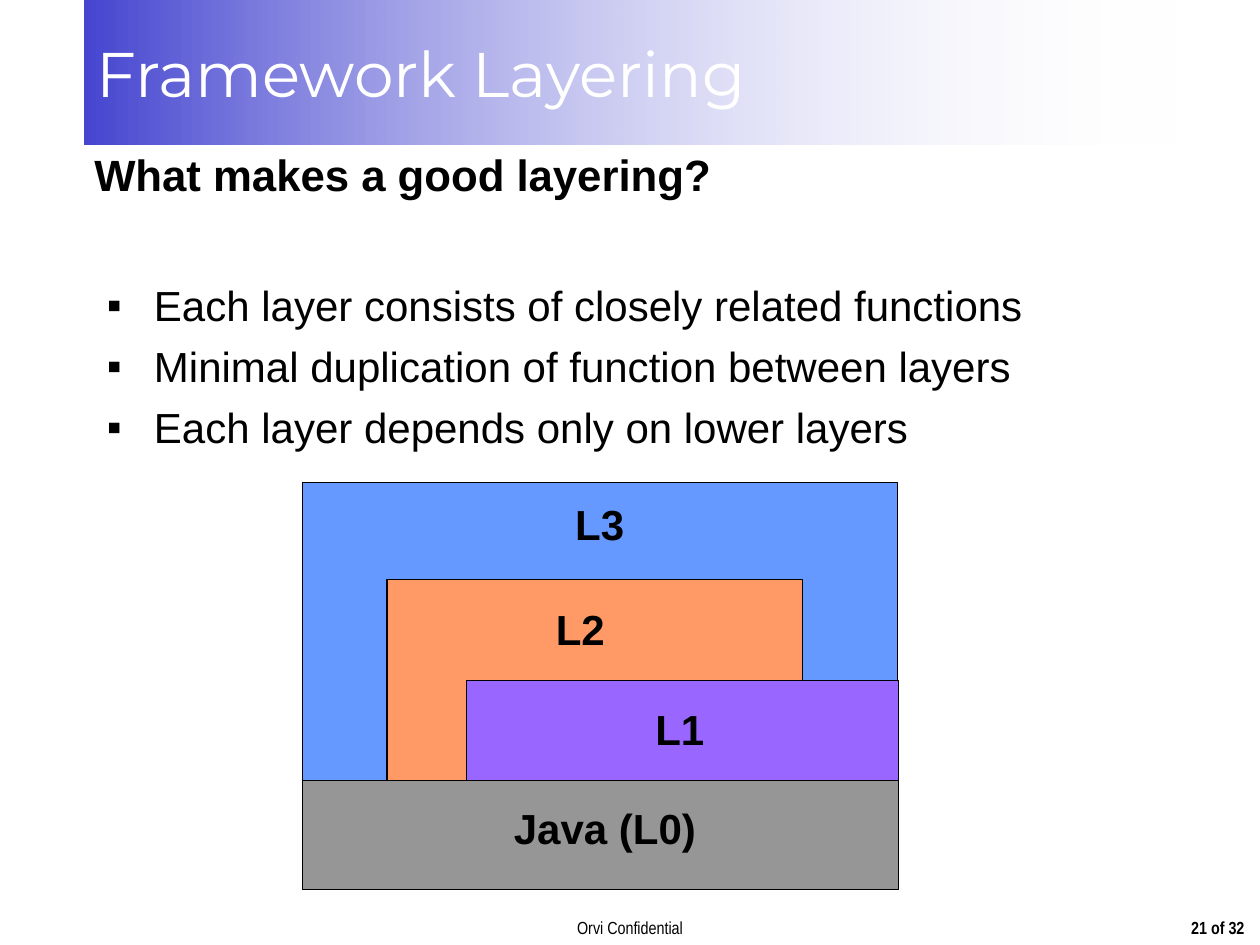
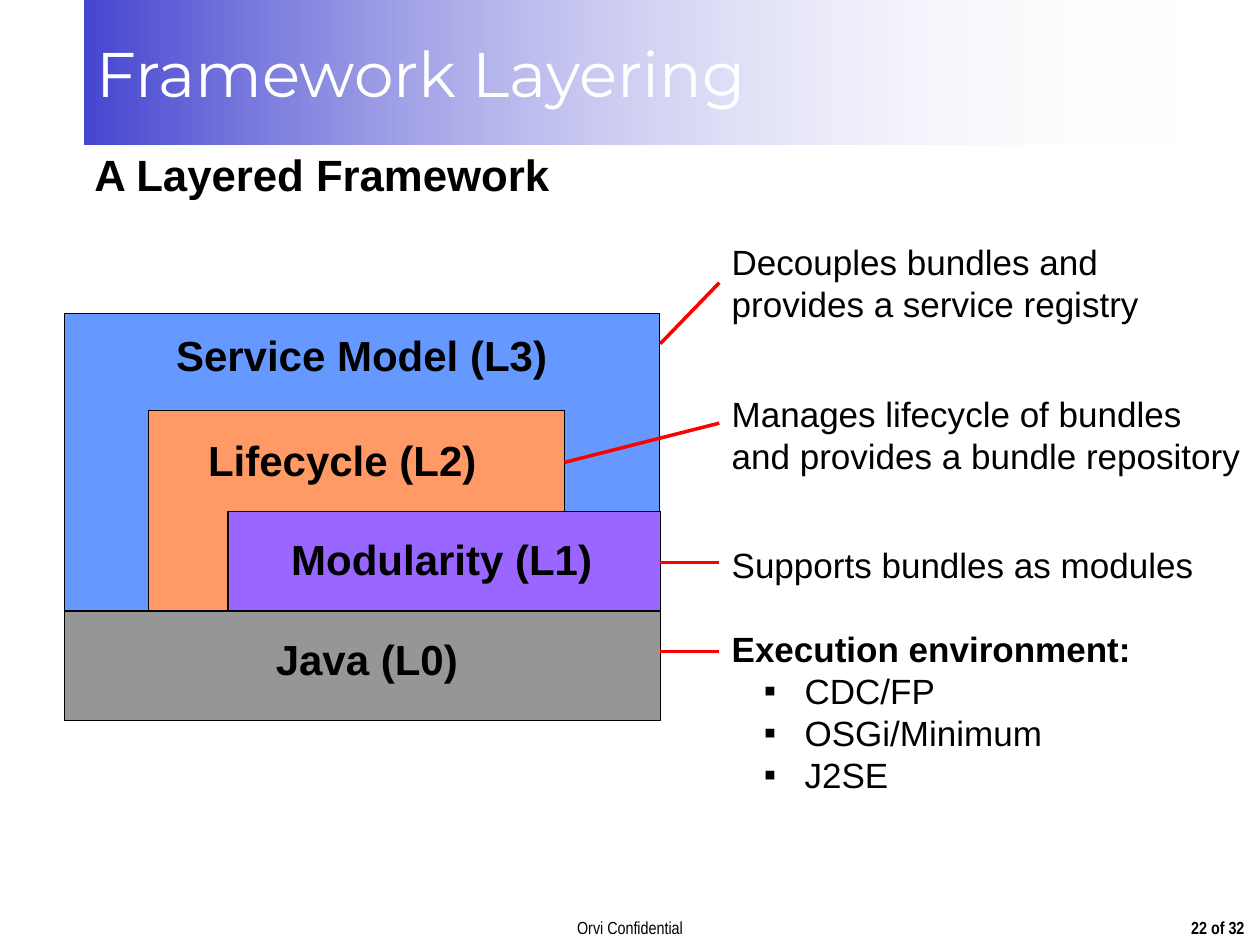
from dataclasses import dataclass

from lxml import etree
from pptx import Presentation
from pptx.dml.color import RGBColor
from pptx.enum.shapes import MSO_CONNECTOR, MSO_SHAPE
from pptx.enum.text import MSO_ANCHOR, MSO_AUTO_SIZE, PP_ALIGN
from pptx.oxml.ns import qn
from pptx.util import Cm, Pt

RECTANGLE = MSO_SHAPE.RECTANGLE
STRAIGHT = MSO_CONNECTOR.STRAIGHT
TOP, MIDDLE = MSO_ANCHOR.TOP, MSO_ANCHOR.MIDDLE
LEFT, CENTER = PP_ALIGN.LEFT, PP_ALIGN.CENTER
FIXED, GROW = MSO_AUTO_SIZE.NONE, MSO_AUTO_SIZE.SHAPE_TO_FIT_TEXT
LEFT_SIDE, RIGHT_SIDE = 1, 3


@dataclass(frozen=True)
class Theme:
    ink: RGBColor = RGBColor(0, 0, 0)
    white: RGBColor = RGBColor(255, 255, 255)
    band: RGBColor = RGBColor.from_string("3333CC")
    pointer: RGBColor = RGBColor.from_string("FF0000")
    l3: RGBColor = RGBColor.from_string("6699FF")
    l2: RGBColor = RGBColor.from_string("FF9966")
    l1: RGBColor = RGBColor.from_string("9966FF")
    l0: RGBColor = RGBColor.from_string("969696")
    font: str = "Arial"
    band_font: str = "Montserrat"
    footer_font: str = "Arial Narrow"
    band_size: int = 36
    title_size: int = 25
    body_size: int = 24
    callout_size: int = 20
    footer_size: int = 10


theme = Theme()


def write(frame, text, size, font=theme.font, color=theme.ink, bold=False,
          align=LEFT, anchor=TOP, wrap=True, fit=GROW):
    """Fill a text frame, one paragraph per line of text."""
    frame.word_wrap = wrap
    frame.auto_size = fit
    frame.vertical_anchor = anchor
    frame.text = text
    for paragraph in frame.paragraphs:
        paragraph.alignment = align
        paragraph.space_before = Pt(0)
        style = paragraph.runs[0].font
        style.name, style.size, style.bold = font, Pt(size), bold
        style.color.rgb = color


def add_bullet(paragraph, margin, hang):
    properties = paragraph._p.get_or_add_pPr()
    properties.set("marL", str(Cm(margin)))
    properties.set("indent", str(-Cm(hang)))
    etree.SubElement(properties, qn("a:buFont"), typeface=theme.font)
    etree.SubElement(properties, qn("a:buChar"), char="▪")


# Layer box and label box, in cm from the top left of the diagram
layers = [
    (theme.l3, (0, 0, 12, 8.2), (1.19, 0.2, 9.6, 1.27)),
    (theme.l2, (1.7, 1.96, 8.38, 4.09), (1.6, 2.31, 8, 1.27)),
    (theme.l1, (3.3, 3.99, 8.71, 2.06), (4.01, 4.32, 7.19, 1.27)),
    (theme.l0, (0, 6, 12.01, 2.21), (3.81, 6.32, 4.57, 1.27)),
]

# Title, layout number, page, diagram corner and layer names
pages = [
    ("What makes a good layering?", 1, "21 of 32", (6.1, 9.73),
     ["L3", "L2", "L1", "Java (L0)"]),
    ("A Layered Framework", 5, "22 of 32", (1.3, 6.32),
     ["Service Model (L3)", "Lifecycle (L2)", "Modularity (L1)", "Java (L0)"]),
]

prs = Presentation()
prs.slide_width, prs.slide_height = Cm(25.4), Cm(19.05)

# What both slides share: band, title, footers and layer diagram
for title, layout, page, (diagram_x, diagram_y), names in pages:
    slide = prs.slides.add_slide(prs.slide_layouts[layout])
    shapes = slide.shapes

    band = shapes.add_shape(RECTANGLE, Cm(1.7), Cm(0), Cm(22.2), Cm(2.92))
    band.shadow.inherit = False
    band.line.fill.background()
    band.fill.gradient()
    band.fill.gradient_angle = 180
    stops = band.fill.gradient_stops
    stops[0].color.rgb, stops[1].color.rgb = theme.white, theme.band
    band_colors = band._element.spPr.iter(qn("a:srgbClr"))
    for color, opacity in zip(list(band_colors), (0, 91)):
        etree.SubElement(color, qn("a:alpha"), val=str(opacity * 1000))
    write(band.text_frame, "Framework Layering", theme.band_size, font=theme.band_font,
          color=theme.white, anchor=MIDDLE, wrap=False, fit=FIXED)

    heading = shapes.title
    heading.left, heading.top, heading.width, heading.height = map(Cm, (1.9, 2.97, 21.59, 2.34))
    frame = heading.text_frame
    frame.margin_left = frame.margin_right = frame.margin_top = frame.margin_bottom = 0
    write(frame, title, theme.title_size, bold=True, fit=FIXED)

    for text, box, bold in [("Orvi Confidential", (0, 18.36, 25.4, 0.69), False),
                            (page, (23.7, 18.36, 1.7, 1.12), True)]:
        footer = shapes.add_textbox(*map(Cm, box))
        write(footer.text_frame, text, theme.footer_size, font=theme.footer_font,
              bold=bold, align=CENTER)

    layer_boxes = []
    for name, (color, (x, y, width, height), label_box) in zip(names, layers):
        layer = shapes.add_shape(RECTANGLE, Cm(diagram_x + x), Cm(diagram_y + y),
                                 Cm(width), Cm(height))
        layer.shadow.inherit = False
        layer.fill.solid()
        layer.fill.fore_color.rgb = color
        layer.line.color.rgb = theme.ink
        layer.line.width = Pt(0.75)
        layer_boxes.append(layer)
        x, y, width, height = label_box
        label = shapes.add_textbox(Cm(diagram_x + x), Cm(diagram_y + y), Cm(width), Cm(height))
        write(label.text_frame, name, theme.body_size, bold=True, align=CENTER)

# Slide 1: criteria for a good layering
criteria = prs.slides[0].placeholders[1]
criteria.left, criteria.top, criteria.width, criteria.height = map(Cm, (1.9, 5.51, 21.59, 12.9))
write(criteria.text_frame,
      "Each layer consists of closely related functions\n"
      "Minimal duplication of function between layers\n"
      "Each layer depends only on lower layers",
      theme.body_size, fit=FIXED)
for criterion in criteria.text_frame.paragraphs:
    criterion.space_before = Pt(6)
    add_bullet(criterion, 0.95, 0.95)

# Slide 2: a callout for each layer, from L3 down to L0
# Text, top, width, height, pointer start, pointer end height, joined sides
callout_x = 14.5
callouts = [
    ("Decouples bundles and provides a service registry",
     4.72, 9.19, 1.96, (13.31, 6.93), 5.7, (False, True)),
    ("Manages lifecycle of bundles and provides a bundle repository",
     7.79, 10.9, 1.96, (11.38, 9.32), 8.53, (False, False)),
    ("Supports bundles as modules",
     10.84, 10.49, 1.12, (13.31, 11.34), 11.34, (True, False)),
    ("Execution environment:\nCDC/FP\nOSGi/Minimum\nJ2SE",
     12.52, 9.6, 3.66, (13.31, 13.13), 13.13, (False, False)),
]
shapes = prs.slides[1].shapes
for layer, (text, top, width, height, start, end_y, joined) in zip(layer_boxes, callouts):
    callout = shapes.add_textbox(Cm(callout_x), Cm(top), Cm(width), Cm(height))
    write(callout.text_frame, text, theme.callout_size)
    lead, *environments = callout.text_frame.paragraphs
    if environments:
        lead.runs[0].font.bold = True
    for environment in environments:
        environment.level = 1
        add_bullet(environment, 1.47, 0.82)

    pointer = shapes.add_connector(STRAIGHT, *map(Cm, (*start, callout_x, end_y)))
    pointer.line.color.rgb = theme.pointer
    pointer.line.width = Pt(2)
    etree.SubElement(pointer._element.spPr, qn("a:effectLst"))
    joins_layer, joins_callout = joined
    if joins_layer:
        pointer.begin_connect(layer, RIGHT_SIDE)
    if joins_callout:
        pointer.end_connect(callout, LEFT_SIDE)

prs.save("out.pptx")
